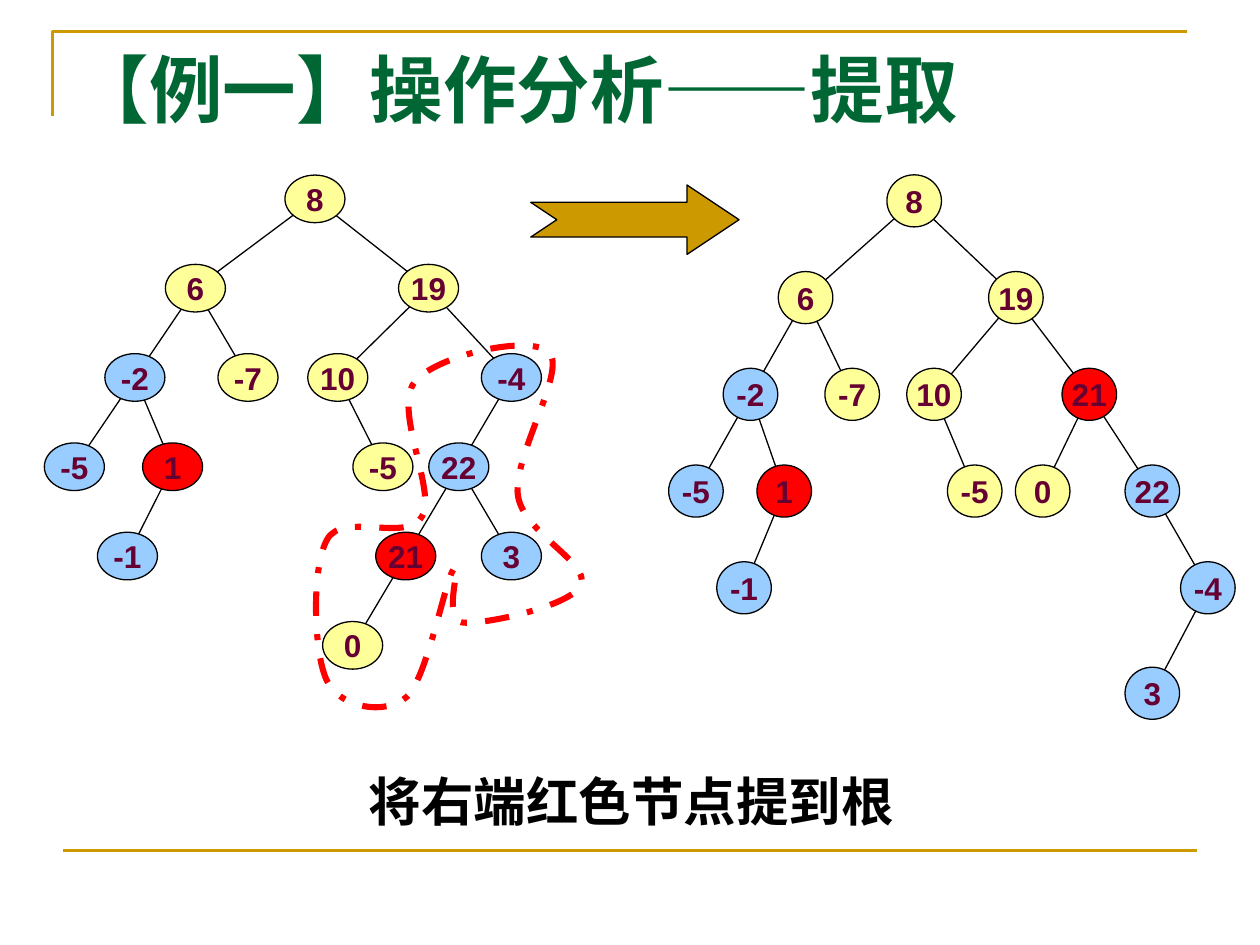
from lxml import etree
from pptx import Presentation
from pptx.dml.color import RGBColor
from pptx.enum.dml import MSO_LINE
from pptx.enum.shapes import MSO_CONNECTOR, MSO_SHAPE
from pptx.enum.text import MSO_ANCHOR, MSO_AUTO_SIZE, PP_ALIGN
from pptx.oxml.ns import qn
from pptx.util import Cm, Pt

STRAIGHT = MSO_CONNECTOR.STRAIGHT
ELLIPSE, ARROW = MSO_SHAPE.OVAL, MSO_SHAPE.NOTCHED_RIGHT_ARROW
TOP, MIDDLE = MSO_ANCHOR.TOP, MSO_ANCHOR.MIDDLE
LEFT, CENTER = PP_ALIGN.LEFT, PP_ALIGN.CENTER
DASH_DOT = MSO_LINE.DASH_DOT
NO_AUTOFIT = MSO_AUTO_SIZE.NONE

COLORS = {
    "gold": "CC9900", "green": "006633", "black": "000000", "plum": "660033",
    "yellow": "FFFF99", "blue": "99CCFF", "red": "FF0000",
}

LEFT_TREE = [
    ("8", 6.35, 0, "yellow", None),
    ("6", 3.94, 1, "yellow", 0),
    ("19", 8.64, 1, "yellow", 0),
    ("-2", 2.72, 2, "blue", 1),
    ("-7", 5, 2, "yellow", 1),
    ("10", 6.81, 2, "yellow", 2),
    ("-4", 10.31, 2, "blue", 2),
    ("-5", 1.5, 3, "blue", 3),
    ("1", 3.48, 3, "red", 3),
    ("-5", 7.72, 3, "yellow", 5),
    ("22", 9.25, 3, "blue", 6),
    ("-1", 2.57, 4, "blue", 8),
    ("21", 8.18, 4, "red", 10),
    ("3", 10.31, 4, "blue", 10),
    ("0", 7.11, 5, "yellow", 12),
]
RIGHT_TREE = [
    ("8", 18.43, 0, "yellow", None),
    ("6", 16.24, 1, "yellow", 0),
    ("19", 20.48, 1, "yellow", 0),
    ("-2", 15.13, 2, "blue", 1),
    ("-7", 17.18, 2, "yellow", 1),
    ("10", 18.83, 2, "yellow", 2),
    ("21", 21.96, 2, "red", 2),
    ("-5", 14.03, 3, "blue", 3),
    ("1", 15.81, 3, "red", 3),
    ("-5", 19.65, 3, "yellow", 5),
    ("0", 21.02, 3, "yellow", 6),
    ("22", 23.23, 3, "blue", 6),
    ("-1", 15, 4, "blue", 8),
    ("-4", 24.35, 4, "blue", 11),
    ("3", 23.23, 5.09, "blue", 13),
]
ROTATED_REGION = [
    (6.6, 13.74),
    (6.32, 13.21), (6.27, 11.43), (6.6, 10.87),
    (6.91, 10.31), (8.23, 10.95), (8.51, 10.41),
    (8.81, 9.91), (7.92, 8.26), (8.36, 7.7),
    (8.79, 7.16), (10.72, 6.73), (11.07, 7.11),
    (11.43, 7.47), (10.34, 9.19), (10.44, 9.98),
    (10.54, 10.74), (11.91, 11.35), (11.71, 11.79),
    (11.53, 12.22), (9.75, 12.6), (9.32, 12.55),
    (8.89, 12.5), (9.35, 11.23), (9.14, 11.48),
    (8.97, 11.73), (8.61, 13.67), (8.2, 14.05),
    (7.77, 14.43), (6.86, 14.27), (6.6, 13.74),
]


class TreeSlide:
    def __init__(self, presentation):
        self.slide = presentation.slides.add_slide(presentation.slide_layouts[5])
        self.shapes = self.slide.shapes
        self.edge_width = 0.75

    def color(self, name):
        return RGBColor.from_string(COLORS[name])

    def outline(self, shape, color, width):
        shape.line.color.rgb = self.color(color)
        shape.line.width = Pt(width)

    def set_text(self, shape, text, size, color, font="Arial", anchor=TOP,
                 align=CENTER, wrap=True, **spacing):
        frame = shape.text_frame
        frame.text = text
        frame_format = {"auto_size": NO_AUTOFIT, "word_wrap": wrap, "vertical_anchor": anchor}
        for name, value in frame_format.items():
            setattr(frame, name, value)
        paragraph = frame.paragraphs[0]
        for name, value in {"alignment": align, **spacing}.items():
            setattr(paragraph, name, value)
        run_font = paragraph.runs[0].font
        for name, value in {"name": font, "size": Pt(size), "bold": True}.items():
            setattr(run_font, name, value)
        run_font.color.rgb = self.color(color)

    def title(self, text, box):
        title = self.shapes.title
        for name, value in zip(("left", "top", "width", "height"), box):
            setattr(title, name, Cm(value))
        self.set_text(title, text, 42, "green", font="Times New Roman", align=LEFT)

    def caption(self, text, box):
        caption = self.shapes.add_textbox(*map(Cm, box))
        self.set_text(caption, text, 30, "black", line_spacing=0.9, space_before=Pt(7.5))

    def line(self, start, end, color, width):
        connector = self.shapes.add_connector(STRAIGHT, *map(Cm, start + end))
        self.outline(connector, color, width)
        etree.SubElement(connector.element.spPr, qn("a:effectLst"))

    def preset(self, kind, box, fill):
        shape = self.shapes.add_shape(kind, *map(Cm, box))
        shape.shadow.inherit = False
        shape.fill.solid()
        shape.fill.fore_color.rgb = self.color(fill)
        self.outline(shape, "black", self.edge_width)
        return shape

    def arrow(self, box):
        arrow = self.preset(ARROW, box, "gold")
        arrow.adjustments[0], arrow.adjustments[1] = 0.5, 0.75

    def freeform(self, points, color, width, close=False):
        vertices = [(Cm(x), Cm(y)) for x, y in points]
        builder = self.shapes.build_freeform(*vertices[0])
        builder.add_line_segments(vertices[1:], close=close)
        shape = builder.convert_to_shape()
        shape.shadow.inherit = False
        shape.fill.background()
        self.outline(shape, color, width)
        return shape

    def curved_region(self, points):
        shape = self.freeform(points, "red", 3.5, close=True)
        shape.line.dash_style = DASH_DOT
        segments = list(shape.element.iter(qn("a:lnTo")))
        for index in range(0, len(segments), 3):
            first = segments[index]
            bezier = etree.Element(qn("a:cubicBezTo"))
            first.addprevious(bezier)
            for segment in segments[index:index + 3]:
                bezier.append(segment[0])
                segment.getparent().remove(segment)

    def tree(self, nodes, top, step, width, height):
        centers = [(x, top + step * level) for _, x, level, _, _ in nodes]
        for center, (*_, parent) in zip(centers, nodes):
            if parent is not None:
                self.line(centers[parent], center, "black", self.edge_width)
        for (x, y), (label, _, _, fill, _) in zip(centers, nodes):
            box = (x - width / 2, y - height / 2, width, height)
            node = self.preset(ELLIPSE, box, fill)
            self.set_text(node, label, 18, "plum", anchor=MIDDLE, wrap=False)


presentation = Presentation()
presentation.slide_width, presentation.slide_height = Cm(25.4), Cm(19.05)
page = TreeSlide(presentation)
page.freeform([(1.06, 2.33), (1.06, 0.64), (23.92, 0.64)], "gold", 1.5)
page.line((1.27, 17.15), (24.13, 17.15), "gold", 1.5)
page.tree(LEFT_TREE, top=4.01, step=1.8, width=1.21, height=0.96)
page.curved_region(ROTATED_REGION)
page.arrow((10.7, 3.73, 4.2, 1.4))
page.tree(RIGHT_TREE, top=4.05, step=1.95, width=1.1, height=1.05)
page.title("【例一】操作分析——提取", (1.27, 0.76, 22.86, 3.18))
page.caption("将右端红色节点提到根", (1.3, 15.52, 22.86, 1.5))
presentation.save("out.pptx")
